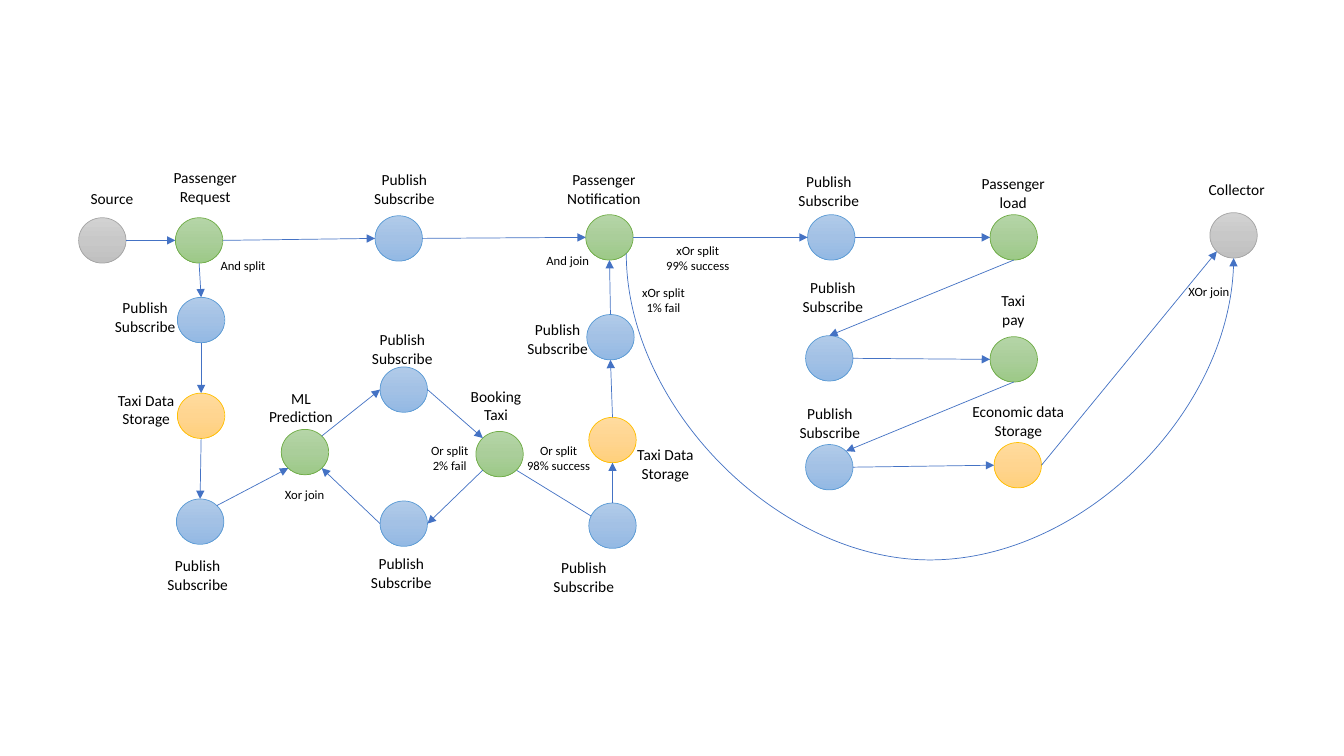
"""Build a one-slide flow graph of a taxi booking service."""
import copy
import math

import lxml.etree
import pptx
import pptx.dml.color
import pptx.enum.shapes
import pptx.enum.text
import pptx.oxml.ns
import pptx.util

SLIDE_SIZE = (13.33, 7.5)
NODE_SIZE = (0.47, 0.45)
LINK_COLOR = "4472C4"
CURVE_DEPTH = 3.03

PALETTES = {
    "terminal": ("A5A5A5", ["D2D2D2", "C8C8C8", "C0C0C0"]),
    "service": ("70AD47", ["B5D5A7", "AACE9A", "9CC987"]),
    "broker": ("5B9BD5", ["B1CBE9", "A3C1E5", "93B9E4"]),
    "storage": ("FFC000", ["FFDB9E", "FFD590", "FFD07C"]),
}

NODES = {
    "source": ("terminal", 0.78, 2.16),
    "request": ("service", 1.74, 2.16),
    "request broker": ("broker", 3.72, 2.14),
    "notification": ("service", 5.81, 2.13),
    "load broker": ("broker", 8.01, 2.13),
    "load": ("service", 9.82, 2.13),
    "collector": ("terminal", 12, 2.11),
    "data broker": ("broker", 1.76, 2.95),
    "data storage": ("storage", 1.76, 3.9),
    "prediction broker": ("broker", 1.75, 4.95),
    "prediction": ("service", 2.79, 4.26),
    "booking broker": ("broker", 3.77, 3.64),
    "retry broker": ("broker", 3.77, 4.97),
    "booking": ("service", 4.72, 4.28),
    "booked broker": ("broker", 5.84, 4.99),
    "booked storage": ("storage", 5.84, 4.14),
    "notify broker": ("broker", 5.82, 3.12),
    "pay broker": ("broker", 7.99, 3.33),
    "pay": ("service", 9.82, 3.34),
    "economic broker": ("broker", 7.99, 4.41),
    "economic storage": ("storage", 9.86, 4.39),
}

SITES = ["top", "top left", "left", "bottom left",
         "bottom", "bottom right", "right", "top right"]

LINKS = [
    ("source", "right", "request", "left"),
    ("request", "right", "request broker", "left"),
    ("request broker", "right", "notification", "left"),
    ("notification", "right", "load broker", "left"),
    ("load broker", "right", "load", "left"),
    ("load", "bottom", "pay broker", "top"),
    ("request", "bottom", "data broker", "top"),
    ("data broker", "bottom", "data storage", "top"),
    ("data storage", "bottom", "prediction broker", "top"),
    ("prediction broker", "top right", "prediction", "bottom left"),
    ("prediction", "top right", "booking broker", "left"),
    ("booking broker", "right", "booking", "top left"),
    ("booking", "bottom left", "retry broker", "right"),
    ("retry broker", "left", "prediction", "bottom right"),
    ("booked broker", "top", "booked storage", "bottom"),
    ("booked storage", "top", "notify broker", "bottom"),
    ("notify broker", "top", "notification", "bottom"),
    ("pay broker", "right", "pay", "left"),
    ("pay", "bottom", "economic broker", "top right"),
    ("economic broker", "right", "economic storage", "left"),
    ("economic storage", "right", "collector", "bottom left"),
]
FAILURE_LINK = ("notification", "bottom right", "collector", "bottom")
COVERED_LINK_END = (6.01, 5.21)

NODE_LABELS = [
    ("Source", 0.78, 1.83, 0.66),
    ("Passenger\nRequest", 1.59, 1.62, 0.89),
    ("Passenger\nNotification", 5.49, 1.64, 1),
    ("Passenger load", 9.61, 1.68, 0.88),
    ("Collector", 11.87, 1.74, 0.79),
    ("ML\nPrediction", 2.54, 3.81, 0.89),
    ("Booking\nTaxi", 4.48, 3.79, 0.88),
    ("Taxi\npay", 9.61, 2.84, 0.88),
    ("Taxi Data\nStorage", 0.88, 3.83, 1.14),
    ("Taxi Data\nStorage", 6.03, 4.37, 1.14),
    ("Economic data\nStorage", 9.53, 3.94, 1.14),
]
BROKER_LABEL = ("Publish Subscribe", 0.88)
BROKER_LABEL_CORNERS = [
    (3.57, 1.64), (7.78, 1.66), (1, 2.91), (1.52, 5.47), (3.55, 3.23),
    (3.54, 5.45), (5.35, 5.49), (5.09, 3.13), (7.82, 2.71), (7.79, 3.96),
]
GATE_LABELS = [
    ("And split", 1.97, 2.51, 0.88),
    ("And join", 5.19, 2.46, 0.88),
    ("xOr split\n99% success", 6.35, 2.36, 1.14),
    ("xOr split\n1% fail", 6.14, 2.78, 0.88),
    ("Or split\n2% fail", 4.02, 4.34, 0.88),
    ("Or split\n98% success", 5.1, 4.34, 0.88),
    ("Xor join", 2.58, 4.78, 0.88),
    ("XOr join", 11.55, 2.77, 0.88),
]

inch = pptx.util.Inches
qn = pptx.oxml.ns.qn
connector_kinds = pptx.enum.shapes.MSO_CONNECTOR


def rgb(value):
    """Turn a hex string into a colour."""
    return pptx.dml.color.RGBColor.from_string(value)


def site_point(name, site):
    """Return the point of a named site on a node's edge."""
    _, left, top = NODES[name]
    width, height = NODE_SIZE
    angle = math.pi / 4 * SITES.index(site)
    return (left + width / 2 * (1 - math.sin(angle)),
            top + height / 2 * (1 - math.cos(angle)))


def add_node(page, kind, left, top):
    """Draw one circle with its gradient."""
    outline, colors = PALETTES[kind]
    node = page.shapes.add_shape(pptx.enum.shapes.MSO_SHAPE.OVAL,
                                 *map(inch, (left, top, *NODE_SIZE)))
    node.shadow.inherit = False
    node.fill.gradient()
    node.fill.gradient_angle = 270
    stop_list = node.element.find(".//" + qn("a:gsLst"))
    stop_list.insert(1, copy.deepcopy(stop_list[0]))
    for index, (stop, color) in enumerate(zip(node.fill.gradient_stops, colors)):
        stop.position = index / 2
        stop.color.rgb = rgb(color)
    node.line.color.rgb = rgb(outline)
    node.line.width = pptx.util.Pt(0.5)
    return node


def add_arrow(page, begin, end, kind=connector_kinds.STRAIGHT):
    """Draw a thin connector with an arrowhead at its end."""
    arrow = page.shapes.add_connector(kind, *map(inch, (*begin, *end)))
    arrow.line.color.rgb = rgb(LINK_COLOR)
    arrow.line.width = pptx.util.Pt(0.5)
    properties = arrow.element.spPr
    lxml.etree.SubElement(properties.find(qn("a:ln")), qn("a:tailEnd"), type="triangle")
    lxml.etree.SubElement(properties, qn("a:effectLst"))
    return arrow


def link_nodes(page, shapes, link, kind=connector_kinds.STRAIGHT):
    """Join two circles at their named sites."""
    first, first_site, last, last_site = link
    arrow = add_arrow(page, site_point(first, first_site), site_point(last, last_site), kind)
    joints = arrow.element.find(".//" + qn("p:cNvCxnSpPr"))
    for tag, name, site in (("a:stCxn", first, first_site), ("a:endCxn", last, last_site)):
        lxml.etree.SubElement(joints, qn(tag), id=str(shapes[name].shape_id),
                              idx=str(SITES.index(site)))
    return arrow


def bend_down(arrow):
    """Turn a curved connector so that it hangs below both ends."""
    left, top, width, height = arrow.left, arrow.top, arrow.width, arrow.height
    arrow.left = left + (width - height) // 2
    arrow.top = top + (height - width) // 2
    arrow.width, arrow.height = height, width
    frame = arrow.element.spPr.find(qn("a:xfrm"))
    for key, value in {"rot": "16200000", "flipH": "1"}.items():
        frame.set(key, value)
    share = round(inch(CURVE_DEPTH) / height * 100000)
    adjustments = arrow.element.find(".//" + qn("a:avLst"))
    lxml.etree.SubElement(adjustments, qn("a:gd"), name="adj1", fmla=f"val {share}")


def add_label(page, text, left, top, width, size):
    """Write a centred label."""
    line_count = 2 if "\n" in text or text in ("Publish Subscribe", "Passenger load") else 1
    height = 0.1 + line_count * size * 1.22 / 72
    box = page.shapes.add_textbox(*map(inch, (left, top, width, height)))
    frame = box.text_frame
    frame.word_wrap = True
    frame.auto_size = pptx.enum.text.MSO_AUTO_SIZE.SHAPE_TO_FIT_TEXT
    frame.text = text
    font_format = {"name": "Calibri", "size": pptx.util.Pt(size)}
    for para in frame.paragraphs:
        para.alignment = pptx.enum.text.PP_ALIGN.CENTER
        for span in para.runs:
            for key, value in font_format.items():
                setattr(span.font, key, value)
            span.font.color.rgb = rgb("000000")


def main():
    """Build and save the deck."""
    deck = pptx.Presentation()
    deck.slide_width, deck.slide_height = map(inch, SLIDE_SIZE)
    page = deck.slides.add_slide(deck.slide_layouts[6])
    add_arrow(page, site_point("booking", "bottom right"), COVERED_LINK_END)
    shapes = {name: add_node(page, *node) for name, node in NODES.items()}
    for link in LINKS:
        link_nodes(page, shapes, link)
    bend_down(link_nodes(page, shapes, FAILURE_LINK, connector_kinds.CURVE))
    broker_text, broker_width = BROKER_LABEL
    broker_labels = [(broker_text, *corner, broker_width) for corner in BROKER_LABEL_CORNERS]
    for labels, size in ((NODE_LABELS + broker_labels, 11), (GATE_LABELS, 9)):
        for label in labels:
            add_label(page, *label, size)
    deck.save("out.pptx")


if __name__ == "__main__":
    main()
